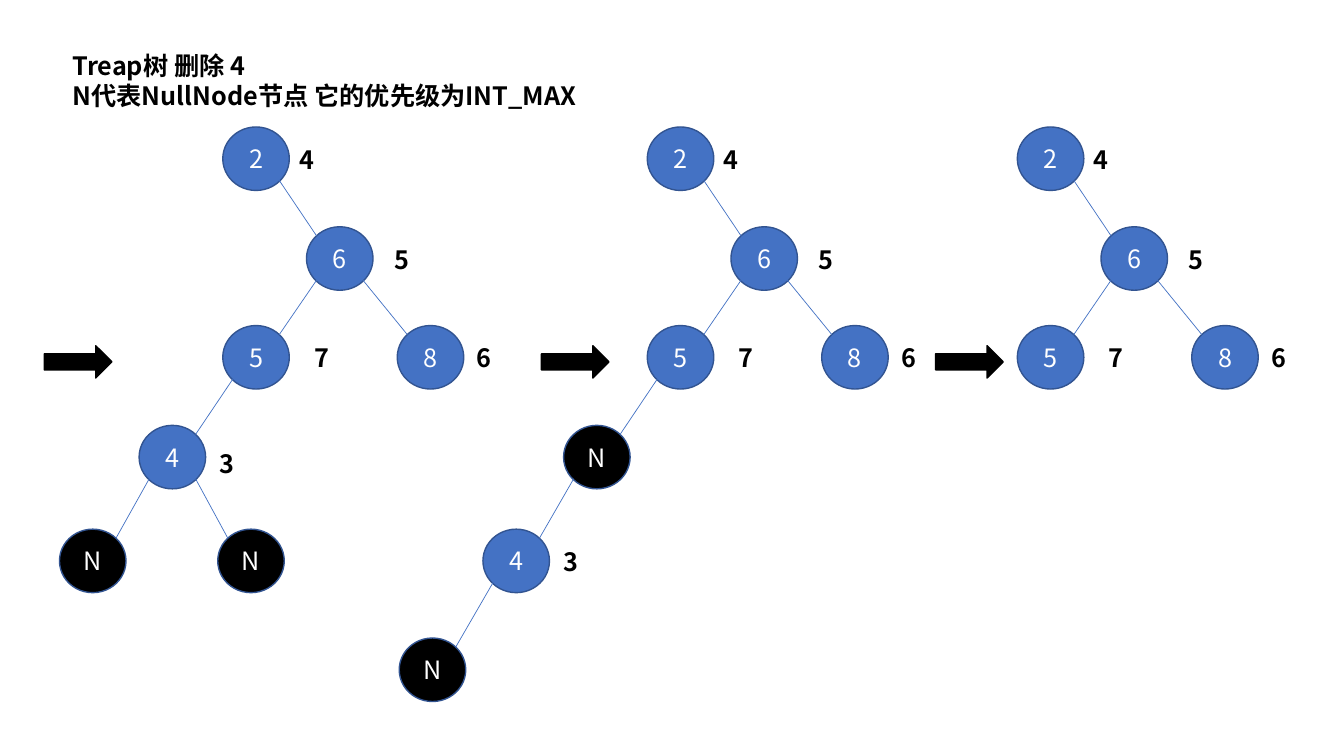
from collections import namedtuple

from lxml.etree import SubElement
from pptx import Presentation
from pptx.dml.color import RGBColor
from pptx.enum.shapes import MSO_CONNECTOR, MSO_SHAPE
from pptx.enum.text import MSO_ANCHOR, MSO_AUTO_SIZE, PP_ALIGN
from pptx.oxml.ns import qn
from pptx.util import Pt

PX = 9144  # 100 px to the inch

BLUE = RGBColor(0x44, 0x72, 0xC4)
DARK_BLUE = RGBColor(0x32, 0x54, 0x91)
BLACK = RGBColor(0, 0, 0)
WHITE = RGBColor(0xFF, 0xFF, 0xFF)

NODE_W, NODE_H = 66, 63
DIAGONAL_X, DIAGONAL_Y = 23, 22  # from a node's centre to its rim at 45 degrees

# x counts from the root; parent is an index in the tree's list;
# gap and drop place the priority relative to the node's corner
Node = namedtuple("Node", "key x y parent priority gap drop",
                  defaults=(None, None, 0, 12))


class TreapSlide:
    font = "Noto Sans CJK SC"
    size = Pt(18)

    def __init__(self, deck):
        self.slide = deck.slides.add_slide(deck.slide_layouts[5])
        self.shapes = self.slide.shapes

    def box(self, *lengths):
        return [length * PX for length in lengths]

    def set_text(self, shape, lines, color, bold, align, anchor, wrap):
        frame = shape.text_frame
        frame.text = "\n".join(lines)
        frame.word_wrap = wrap
        frame.auto_size = MSO_AUTO_SIZE.NONE
        frame.vertical_anchor = anchor
        for paragraph in frame.paragraphs:
            paragraph.alignment = align
            font = paragraph.font
            font.name, font.size, font.bold = self.font, self.size, bold
            font.color.rgb = color
            defaults = paragraph._p.pPr.find(qn("a:defRPr"))
            SubElement(defaults, qn("a:ea"), typeface=self.font)

    def title(self, lines, *place):
        heading = self.shapes.title
        heading.left, heading.top, heading.width, heading.height = self.box(*place)
        self.set_text(heading, lines, BLACK, True, PP_ALIGN.LEFT,
                      MSO_ANCHOR.TOP, True)
        for paragraph in heading.text_frame.paragraphs:
            paragraph.line_spacing = Pt(21.6)
            paragraph.space_before = Pt(0)

    def solid(self, preset, place, fill, outline):
        shape = self.shapes.add_shape(preset, *self.box(*place))
        shape.shadow.inherit = False
        shape.fill.solid()
        shape.fill.fore_color.rgb = fill
        shape.line.color.rgb = outline
        shape.line.width = Pt(1)
        return shape

    def arrow(self, x, y):
        self.solid(MSO_SHAPE.RIGHT_ARROW, (x, y, 67, 32), BLACK, BLACK)

    def edge(self, x1, y1, x2, y2):
        line = self.shapes.add_connector(MSO_CONNECTOR.STRAIGHT,
                                         *self.box(x1, y1, x2, y2))
        line.line.color.rgb = BLUE
        line.line.width = Pt(0.5)
        SubElement(line._element.spPr, qn("a:effectLst"))

    def node(self, key, x, y):
        fill = BLACK if key == "N" else BLUE
        circle = self.solid(MSO_SHAPE.OVAL, (x, y, NODE_W, NODE_H), fill, DARK_BLUE)
        self.set_text(circle, [key], WHITE, False, PP_ALIGN.CENTER,
                      MSO_ANCHOR.MIDDLE, True)

    def priority(self, value, x, y):
        label = self.shapes.add_textbox(*self.box(x, y, 41, 40))
        self.set_text(label, [value], BLACK, True, PP_ALIGN.LEFT,
                      MSO_ANCHOR.MIDDLE, False)

    def tree(self, root_x, nodes):
        for node in nodes:
            x = root_x + node.x
            self.node(node.key, x, node.y)
            if node.priority:
                self.priority(node.priority, x + node.gap, node.y + node.drop)
            if node.parent is not None:
                parent = nodes[node.parent]
                side = DIAGONAL_X if node.x > parent.x else -DIAGONAL_X
                self.edge(root_x + parent.x + NODE_W // 2 + side,
                          parent.y + NODE_H // 2 + DIAGONAL_Y,
                          x + NODE_W // 2 - side,
                          node.y + NODE_H // 2 - DIAGONAL_Y)


# Nodes that remain after the deletion
remaining = [
    Node("2", 0, 126, None, "4", 66),
    Node("6", 83, 225, 0, "5", 77),
    Node("5", 0, 323, 1, "7", 81),
    Node("8", 173, 323, 1, "6", 69),
]
# Node 4 still in place, with its two null children
before_rotation = remaining + [
    Node("4", -83, 422, 2, "3", 70, 18),
    Node("N", -162, 525, 4),
    Node("N", -5, 525, 4),
]
# Node 4 rotated below a null node
after_rotation = remaining + [
    Node("N", -83, 422, 2),
    Node("4", -163, 525, 4, "3", 70),
    Node("N", -246, 633, 5),
]


def main():
    deck = Presentation()
    deck.slide_width, deck.slide_height = 1333 * PX, 750 * PX
    treap = TreapSlide(deck)

    # Heading
    treap.title(["Treap树 删除 4", "N代表NullNode节点 它的优先级为INT_MAX"],
                62, 45, 529, 100)

    # Three stages, each led in by an arrow
    stages = [(44, 221, before_rotation), (537, 642, after_rotation),
              (928, 1009, remaining)]
    for arrow_x, root_x, nodes in stages:
        treap.arrow(arrow_x, 343)
        treap.tree(root_x, nodes)

    deck.save("out.pptx")


if __name__ == "__main__":
    main()
